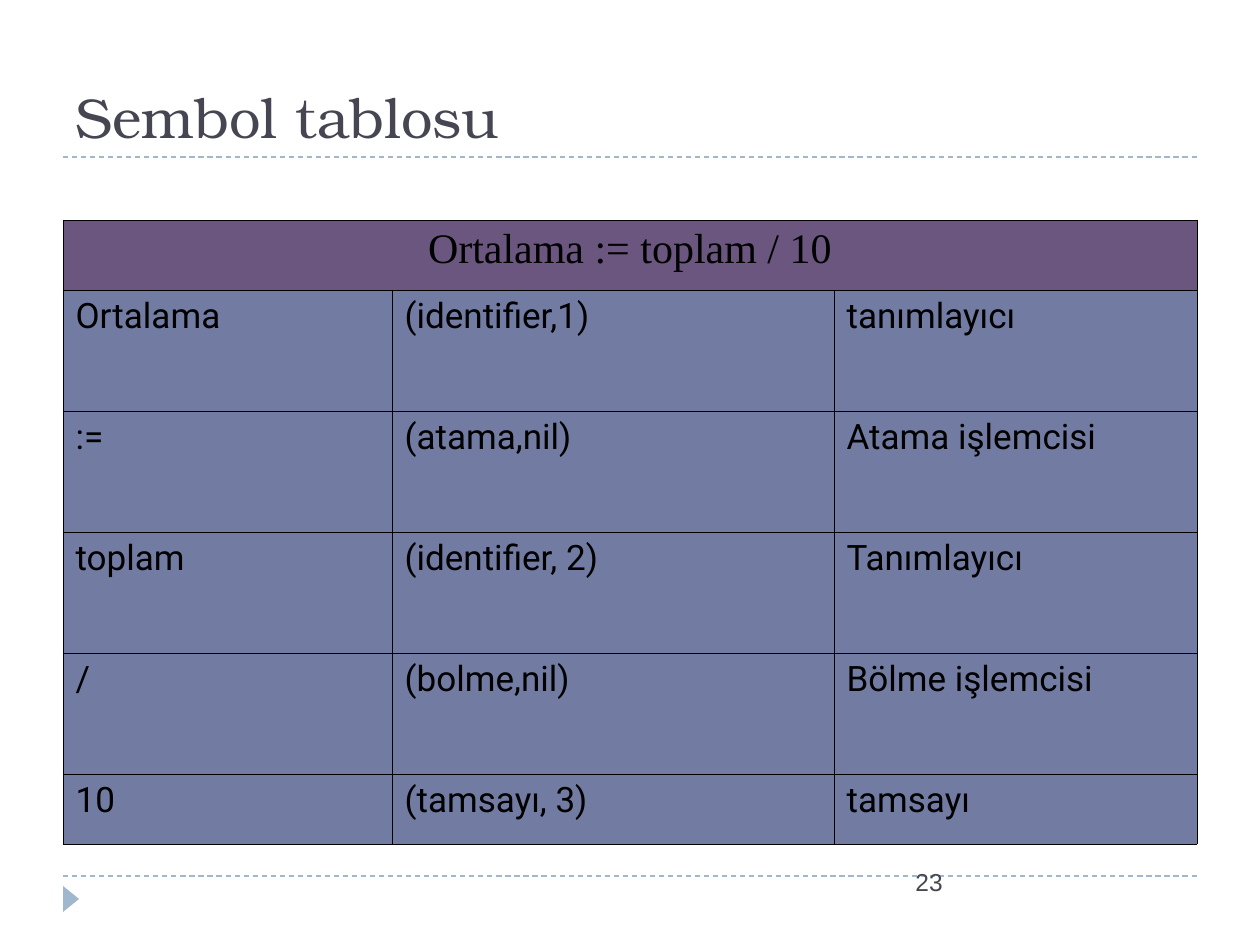
from lxml import etree
from pptx import Presentation
from pptx.dml.color import RGBColor
from pptx.enum.dml import MSO_LINE
from pptx.enum.shapes import MSO_CONNECTOR, MSO_SHAPE
from pptx.enum.text import MSO_ANCHOR, MSO_AUTO_SIZE, PP_ALIGN
from pptx.oxml import parse_xml
from pptx.oxml.ns import nsdecls, qn
from pptx.util import Pt

STRAIGHT = MSO_CONNECTOR.STRAIGHT
TRIANGLE = MSO_SHAPE.ISOSCELES_TRIANGLE
DASH = MSO_LINE.DASH
BOTTOM = MSO_ANCHOR.BOTTOM
NO_AUTOFIT = MSO_AUTO_SIZE.NONE
LEFT, CENTER = PP_ALIGN.LEFT, PP_ALIGN.CENTER

PX = 914400 / 126
COLORS = {
    "text": "464653",
    "accent": "9FB8CD",
    "header": "6B5680",
    "body": "727CA3",
    "black": "000000",
}
HANGING = 48
BORDER_WIDTH = Pt(0.45)


def px(*lengths):
    """Turn pixel lengths into a list of EMU values."""
    return [round(length * PX) for length in lengths]


def write_text(frame, text, font, size, color, align=LEFT, hanging=0):
    para = frame.paragraphs[0]
    para.alignment = align
    if hanging:
        indent = px(hanging)[0]
        properties = para._p.get_or_add_pPr()
        properties.set("marL", str(indent))
        properties.set("indent", str(-indent))
    span = para.add_run()
    span.text = text
    span.font.name = font
    span.font.size = Pt(size)
    span.font.bold = False
    span.font.color.rgb = RGBColor.from_string(COLORS[color])


deck = Presentation()
deck.slide_width, deck.slide_height = px(1260, 945)
page = deck.slides.add_slide(deck.slide_layouts[5])

# Dashed rules and corner marker
for y in (157, 876):
    rule = page.shapes.add_connector(STRAIGHT, *px(63, y, 1197, y))
    rule.line.color.rgb = RGBColor.from_string(COLORS["accent"])
    rule.line.width = Pt(0.75)
    rule.line.dash_style = DASH
    etree.SubElement(rule._element.spPr, qn("a:effectLst"))

marker = page.shapes.add_shape(TRIANGLE, *px(58, 891, 26, 16))
marker.rotation = 90
marker.shadow.inherit = False
marker.fill.solid()
marker.fill.fore_color.rgb = RGBColor.from_string(COLORS["accent"])
marker.line.fill.background()

# Title
title = page.shapes.title
title.left, title.top, title.width, title.height = px(63, 26, 1134, 130)
title.text_frame.auto_size = NO_AUTOFIT
title.text_frame.vertical_anchor = BOTTOM
write_text(title.text_frame, "Sembol tablosu", font="TeX Gyre Bonum", size=32, color="text")

# Symbol table
column_widths = px(329, 442, 363)
row_heights = px(70, 121, 121, 121, 121, 70)
symbols = [
    ("Ortalama", "(identifier,1)", "tanımlayıcı"),
    (":=", "(atama,nil)", "Atama işlemcisi"),
    ("toplam", "(identifier, 2)", "Tanımlayıcı"),
    ("/", "(bolme,nil)", "Bölme işlemcisi"),
    ("10", "(tamsayı, 3)", "tamsayı"),
]
table = page.shapes.add_table(6, 3, *px(63, 220, 1134, 624)).table
table.first_row = False
table.horz_banding = False
for column, width in zip(table.columns, column_widths):
    column.width = width
for row, height in zip(table.rows, row_heights):
    row.height = height

for row_index, row in enumerate(table.rows):
    for cell in row.cells:
        cell_properties = cell._tc.get_or_add_tcPr()
        for side in ("lnL", "lnR", "lnT", "lnB"):
            cell_properties.append(parse_xml(
                f'<a:{side} {nsdecls("a")} w="{BORDER_WIDTH}"><a:solidFill>'
                f'<a:srgbClr val="{COLORS["black"]}"/></a:solidFill></a:{side}>'
            ))
        cell.fill.solid()
        fill_name = "body" if row_index else "header"
        cell.fill.fore_color.rgb = RGBColor.from_string(COLORS[fill_name])

header = table.cell(0, 0)
header.merge(table.cell(0, 2))
write_text(header.text_frame, "Ortalama := toplam / 10", font="Times New Roman",
           size=24, color="black", align=CENTER, hanging=HANGING)
for row_index, symbol in enumerate(symbols, start=1):
    for column_index, text in enumerate(symbol):
        write_text(table.cell(row_index, column_index).text_frame, text,
                   font="Roboto", size=20, color="black", hanging=HANGING)

# Page number
number_box = page.shapes.add_textbox(*px(903, 861, 294, 65))
number_box.text_frame.word_wrap = True
write_text(number_box.text_frame, "23", font="Arial", size=14, color="text")

deck.save("out.pptx")
